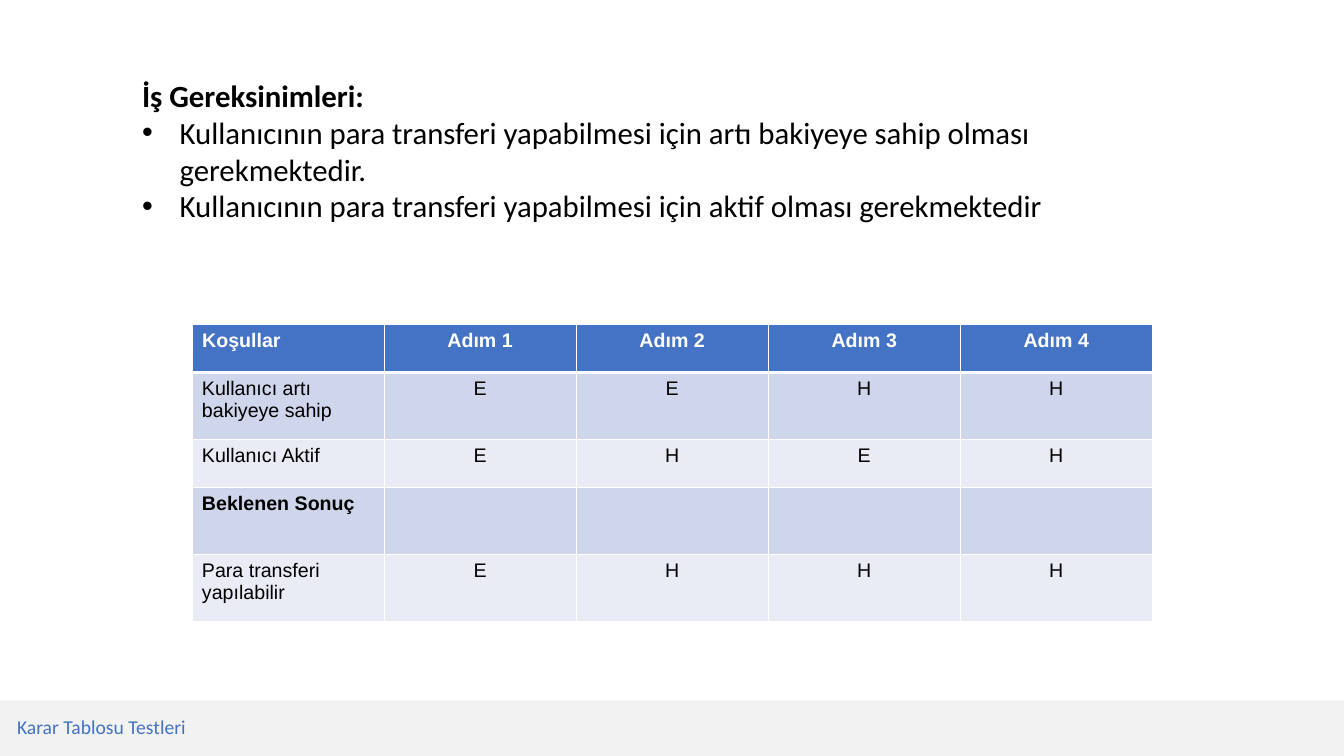
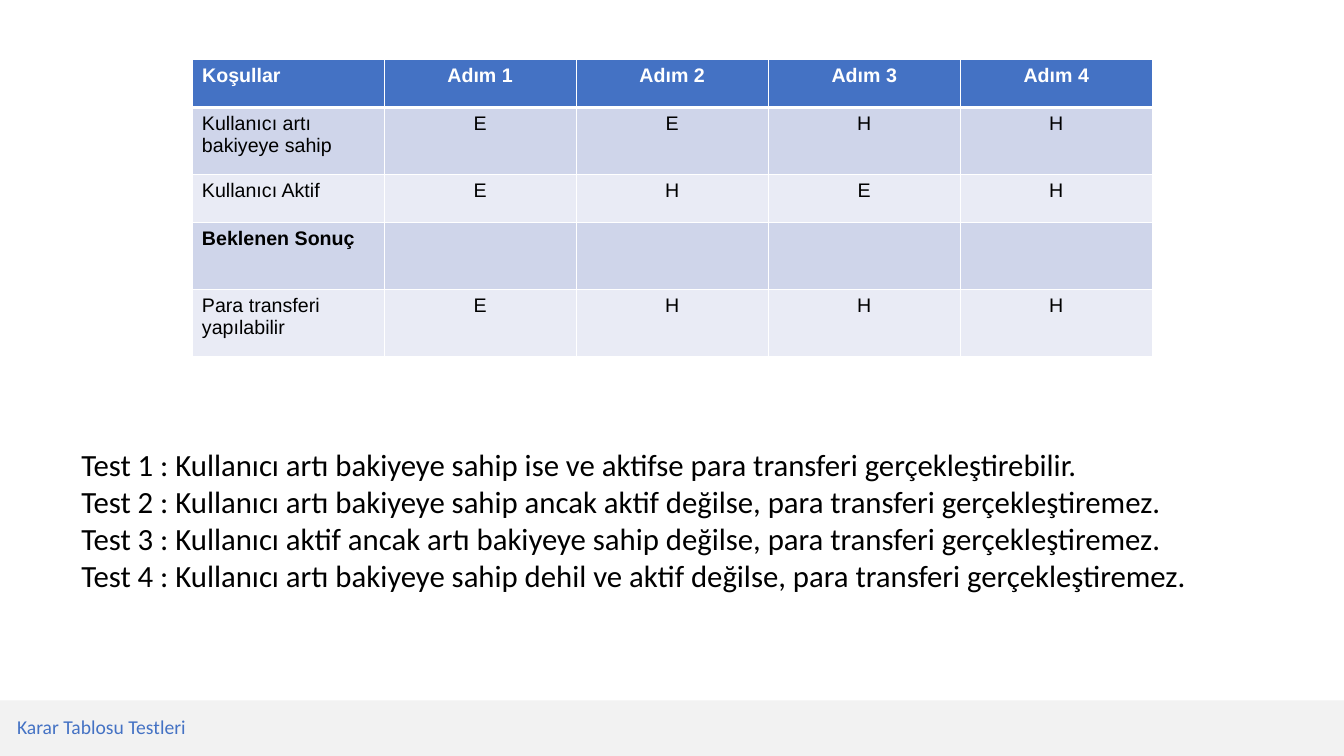
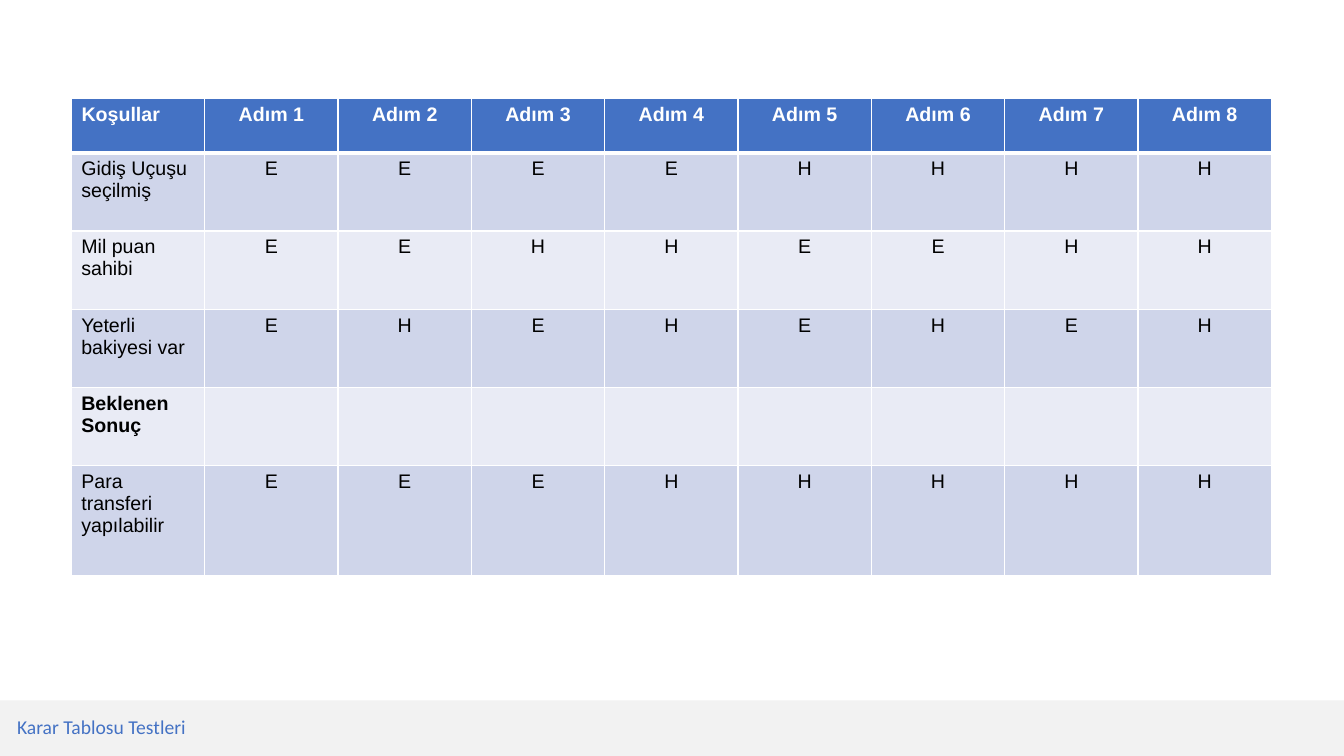
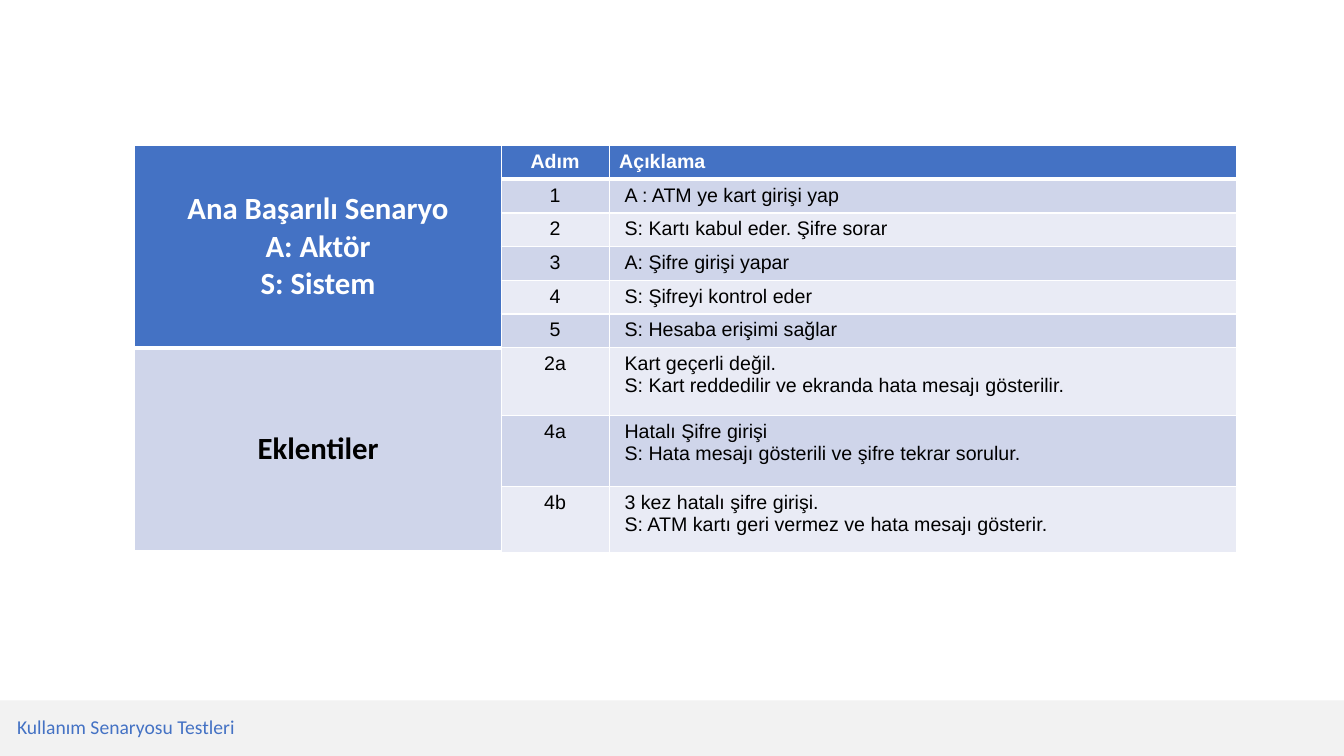
from itertools import product

from pptx import Presentation
from pptx.dml.color import RGBColor
from pptx.enum.shapes import MSO_SHAPE
from pptx.enum.text import MSO_ANCHOR, PP_ALIGN
from pptx.oxml import parse_xml
from pptx.oxml.ns import nsdecls
from pptx.util import Cm, Pt

COLORS = {
    "blue": "4472C4",
    "white": "FFFFFF",
    "black": "000000",
    "band": "F2F2F2",
    "odd": "CFD5EA",
    "even": "E9EBF5",
}
TEXT = {"name": "Calibri", "size": Pt(22), "bold": False, "color": "black"}
CELL = {**TEXT, "name": "Arial", "size": Pt(14)}
FORMATS = {
    "text": TEXT,
    "heading": {**TEXT, "bold": True},
    "footer": {**TEXT, "size": Pt(14), "color": "blue"},
    "cell": CELL,
    "cell bold": {**CELL, "bold": True},
    "cell header": {**CELL, "bold": True, "color": "white"},
    "block bold": {**TEXT, "bold": True},
    "block header": {**TEXT, "bold": True, "color": "white"},
}
WIDTH, HEIGHT = 33.87, 19.05
BAND_TOP = 17.65
INSET, INDENTED = 0.25, 0.39
RESULT = "Beklenen Sonuç"

TRANSFER_ROWS = [
    ("Kullanıcı artı bakiyeye sahip", "EEHH"),
    ("Kullanıcı Aktif", "EHEH"),
    (RESULT, " " * 4),
    ("Para transferi yapılabilir", "EHHH"),
]
TRANSFER_HEIGHTS = [1.21, 1.69, 1.21, 1.69, 1.69]
FLIGHT_ROWS = [
    ("Gidiş Uçuşu seçilmiş", "EEEEHHHH"),
    ("Mil puan sahibi", "EEHHEEHH"),
    ("Yeterli bakiyesi var", "EHEHEHEH"),
    (RESULT, " " * 8),
    ("Para transferi yapılabilir", "EEEHHHHH"),
]
FLIGHT_HEIGHTS = [1.36] + [1.97] * 4 + [2.77]
SCENARIO_ROWS = [
    ("Adım", "Açıklama"),
    ("1", "A : ATM ye kart girişi yap"),
    ("2", "S: Kartı kabul eder. Şifre sorar"),
    ("3", "A: Şifre girişi yapar"),
    ("4", "S: Şifreyi kontrol eder"),
    ("5", "S: Hesaba erişimi sağlar"),
    ("2a", "Kart geçerli değil.\nS: Kart reddedilir ve ekranda hata mesajı gösterilir."),
    ("4a", "Hatalı Şifre girişi\nS: Hata mesajı gösterili ve şifre tekrar sorulur."),
    ("4b", "3 kez hatalı şifre girişi.\nS: ATM kartı geri vermez ve hata mesajı gösterir."),
]
SCENARIO_HEIGHTS = [0.81] * 6 + [1.71, 1.8, 1.66]
REQUIREMENTS = [
    "Kullanıcının para transferi yapabilmesi için artı bakiyeye sahip olması gerekmektedir.",
    "Kullanıcının para transferi yapabilmesi için aktif olması gerekmektedir",
]
TESTS = [
    "Test 1 : Kullanıcı artı bakiyeye sahip ise ve aktifse para transferi gerçekleştirebilir.",
    "Test 2 : Kullanıcı artı bakiyeye sahip ancak aktif değilse, para transferi gerçekleştiremez.",
    "Test 3 : Kullanıcı aktif ancak artı bakiyeye sahip değilse, para transferi gerçekleştiremez.",
    "Test 4 : Kullanıcı artı bakiyeye sahip dehil ve aktif değilse, para transferi gerçekleştiremez.",
]


class Deck:
    """Hold the shared style and draw elements on the current slide."""

    def __init__(self):
        self.presentation = Presentation()
        self.presentation.slide_width = Cm(WIDTH)
        self.presentation.slide_height = Cm(HEIGHT)
        self.shapes = None

    def color(self, name):
        return RGBColor.from_string(COLORS[name])

    def slide(self, topic):
        layout = self.presentation.slide_layouts[6]
        self.shapes = self.presentation.slides.add_slide(layout).shapes
        band = self.shapes.add_shape(
            MSO_SHAPE.RECTANGLE, 0, Cm(BAND_TOP), Cm(WIDTH), Cm(HEIGHT - BAND_TOP)
        )
        band.shadow.inherit = False
        band.fill.solid()
        band.fill.fore_color.rgb = self.color("band")
        band.line.fill.background()
        footer = self.text(0.18, 17.81, 14.33, 0.94, [topic], "footer")
        footer.vertical_anchor = MSO_ANCHOR.BOTTOM
        footer.paragraphs[0].line_spacing = 0.9

    def add_words(self, paragraph, words, style):
        run = paragraph.add_run()
        run.text = words
        for attribute, value in FORMATS[style].items():
            if attribute == "color":
                run.font.color.rgb = self.color(value)
            else:
                setattr(run.font, attribute, value)

    def fill_lines(self, frame, lines, style, align=PP_ALIGN.LEFT):
        for index, line in enumerate(lines):
            paragraph = frame.add_paragraph() if index else frame.paragraphs[0]
            paragraph.alignment = align
            self.add_words(paragraph, line, style)

    def text(self, left, top, width, height, lines, style="text"):
        frame = self.shapes.add_textbox(Cm(left), Cm(top), Cm(width), Cm(height)).text_frame
        frame.word_wrap = True
        self.fill_lines(frame, lines, style)
        return frame

    def bullets(self, frame, lines):
        for line in lines:
            paragraph = frame.add_paragraph()
            properties = paragraph._p.get_or_add_pPr()
            properties.set("marL", str(Cm(0.95)))
            properties.set("indent", str(-Cm(0.95)))
            properties.append(parse_xml(f'<a:buFont {nsdecls("a")} typeface="Arial"/>'))
            properties.append(parse_xml(f'<a:buChar {nsdecls("a")} char="•"/>'))
            self.add_words(paragraph, line, "text")

    def borders(self, cell, row):
        widths = {"L": 1, "R": 1, "T": 3 if row == 1 else 1, "B": 1 if row else 3}
        for side, points in widths.items():
            cell._tc.get_or_add_tcPr().append(parse_xml(
                f'<a:ln{side} {nsdecls("a")} w="{Pt(points)}"><a:solidFill>'
                f'<a:srgbClr val="{COLORS["white"]}"/></a:solidFill></a:ln{side}>'
            ))

    def table(self, left, top, widths, heights, rows, family="cell",
              left_column=0, bold_rows=(), inset=INSET, anchor=MSO_ANCHOR.TOP):
        table = self.shapes.add_table(
            len(heights), len(widths), Cm(left), Cm(top), Cm(sum(widths)), Cm(sum(heights))
        ).table
        table.horz_banding = False
        for column, width in zip(table.columns, widths):
            column.width = Cm(width)
        for line, height in zip(table.rows, heights):
            line.height = Cm(height)
        for row, column in product(range(len(heights)), range(len(widths))):
            cell = table.cell(row, column)
            self.borders(cell, row)
            cell.fill.solid()
            shade = "blue" if row == 0 else "odd" if row % 2 else "even"
            cell.fill.fore_color.rgb = self.color(shade)
            cell.vertical_anchor = anchor
            is_left = column == left_column
            if is_left and row:
                cell.margin_left = Cm(inset)
            style = f"{family} header" if row == 0 else f"{family} bold" if row in bold_rows else family
            words = rows[row][column].strip()
            if words:
                align = PP_ALIGN.LEFT if is_left else PP_ALIGN.CENTER
                self.fill_lines(cell.text_frame, words.split("\n"), style, align)

    def decisions(self, left, top, column_width, heights, conditions):
        steps = len(conditions[0][1])
        header = ["Koşullar"] + [f"Adım {step}" for step in range(1, steps + 1)]
        rows = [header] + [[label, *answers] for label, answers in conditions]
        bold_rows = [index for index, row in enumerate(rows) if row[0] == RESULT]
        self.table(left, top, [column_width] * len(header), heights, rows, bold_rows=bold_rows)


def main():
    deck = Deck()

    deck.slide("Karar Tablosu Testleri")
    requirements = deck.text(3.33, 1.8, 27.23, 5.89, ["İş Gereksinimleri:"], "heading")
    deck.bullets(requirements, REQUIREMENTS)
    deck.decisions(4.84, 8.18, 4.84, TRANSFER_HEIGHTS, TRANSFER_ROWS)

    deck.slide("Karar Tablosu Testleri")
    deck.text(1.8, 11.1, 30.25, 5.89, TESTS)
    deck.decisions(4.84, 1.5, 4.84, TRANSFER_HEIGHTS, TRANSFER_ROWS)

    deck.slide("Karar Tablosu Testleri")
    deck.decisions(1.8, 2.49, 3.36, FLIGHT_HEIGHTS, FLIGHT_ROWS)

    deck.slide("Kullanım Senaryosu Testleri")
    parts = [["Ana Başarılı Senaryo\nA: Aktör\nS: Sistem"], ["Eklentiler"]]
    deck.table(3.39, 3.67, [9.25], [5.1, 5.1], parts, family="block",
               left_column=None, bold_rows=[1], anchor=MSO_ANCHOR.MIDDLE)
    deck.table(12.63, 3.67, [2.72, 15.81], SCENARIO_HEIGHTS, SCENARIO_ROWS,
               left_column=1, inset=INDENTED)

    deck.presentation.save("out.pptx")


if __name__ == "__main__":
    main()
